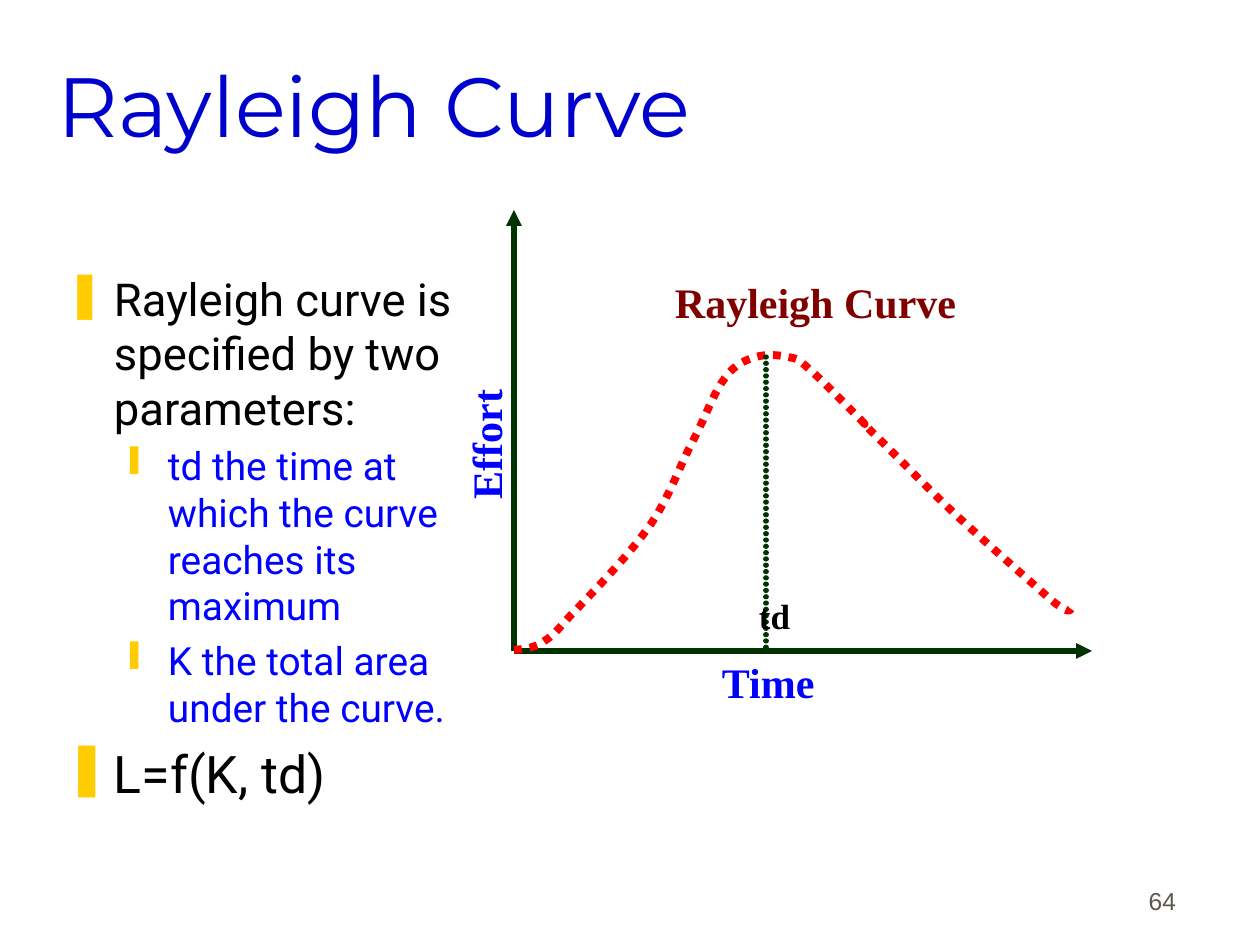
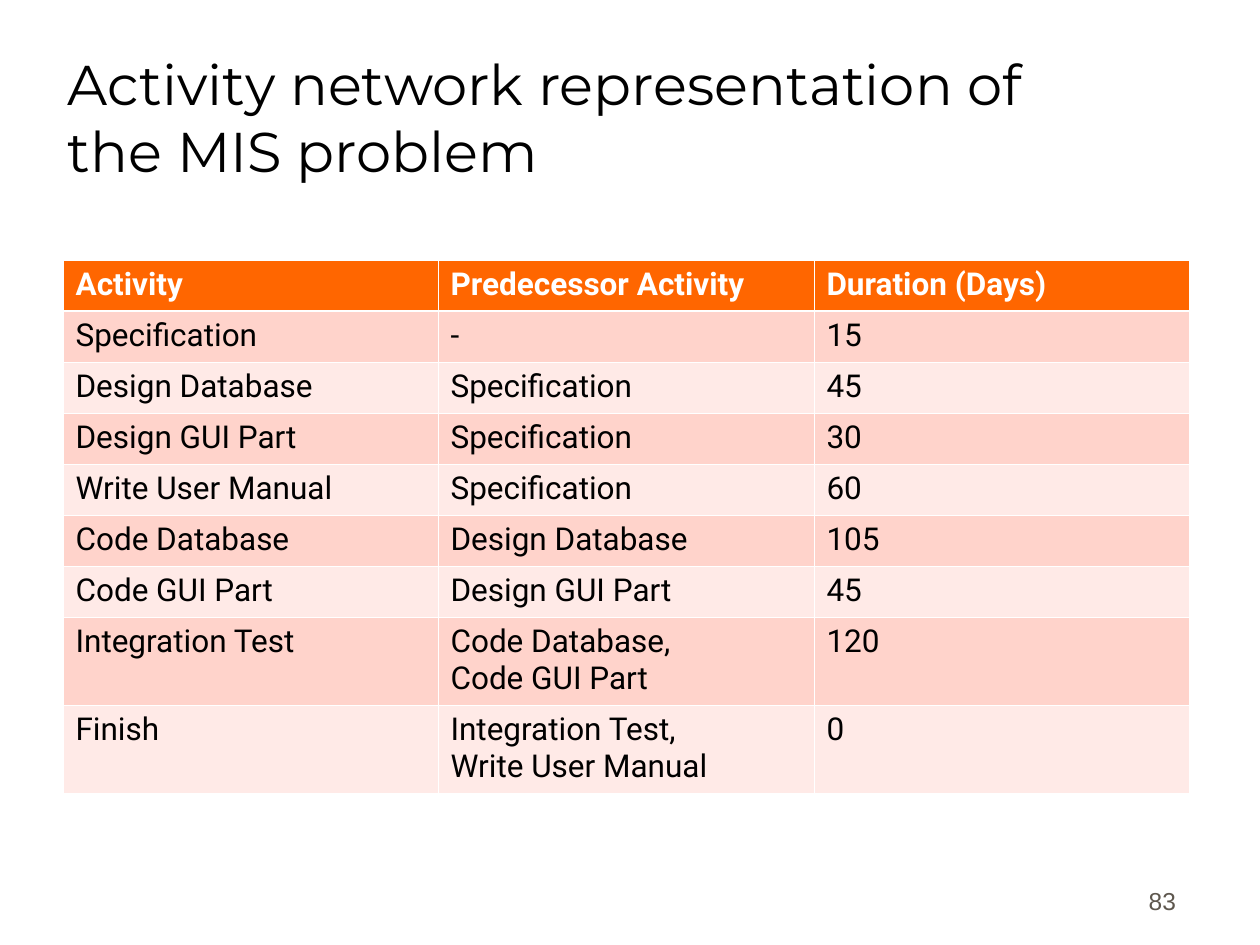
import lxml.etree
import pptx
import pptx.dml.color
import pptx.enum.dml
import pptx.enum.shapes
import pptx.enum.text
import pptx.oxml.ns
import pptx.util

PIXELS_PER_INCH = 126
SLIDE_SIZE = (1260, 945)
ANCHOR = pptx.enum.text.MSO_ANCHOR
ALIGN = pptx.enum.text.PP_ALIGN

THEME = {
    "white": "FFFFFF", "black": "000000", "title": "0000CC", "blue": "0000FF",
    "bullet": "FFCC00", "axis": "003300", "curve": "FF0000", "caption": "800000",
    "number": "5E574E", "header": "FF6600", "bands": ("FFD3CB", "FFEAE7"),
    "grid": 0.45, "header_rule": 1.47, "axis_width": 3, "curve_width": 4.5,
}
TITLE = {"name": "Montserrat", "size": 48, "color": THEME["title"]}
LONG_TITLE = {"name": "Montserrat", "size": 32, "color": THEME["black"]}
TOPIC = {"name": "Roboto", "size": 25.9, "color": THEME["black"]}
DETAIL = {"name": "Roboto", "size": 22.2, "color": THEME["blue"]}
FORMULA = {**TOPIC, "size": 29.6}
CELL = {"name": "Roboto", "size": 18, "color": THEME["black"], "bold": False}
HEADER_CELL = {**CELL, "color": THEME["white"], "bold": True}
AXIS_LABEL = {"name": "Times New Roman", "size": 24, "color": THEME["blue"], "bold": True}
CURVE_LABEL = {**AXIS_LABEL, "color": THEME["caption"]}
PEAK_LABEL = {**AXIS_LABEL, "size": 20, "color": THEME["black"]}
NUMBER = {"name": "Arial", "size": 14, "color": THEME["number"]}

TOPIC_BULLET = {"character": "❚", "margin": 48, "hanging": 48, "level": 0}
DETAIL_BULLET = {"character": "❙", "margin": 102, "hanging": 39, "level": 1}

BODY = [
    ("Rayleigh curve is specified by two parameters:", TOPIC, TOPIC_BULLET, 0),
    ("td the time at which the curve reaches its maximum", DETAIL, DETAIL_BULLET, 4.5),
    ("K the total area under the curve.", DETAIL, DETAIL_BULLET, 4.5),
    ("L=f(K, td)", FORMULA, TOPIC_BULLET, 7.1),
]

ORIGIN = (514, 651)
EFFORT_TIP = (514, 210)
TIME_TIP = (1092, 651)
PEAK_TOP, PEAK_FOOT = (766, 357), (766, 651)
CURVE_START = (514, 650)
# Each Bézier segment: two control points and an end point
CURVE_SEGMENTS = [
    ((525, 649), (536, 648), (546, 640)),
    ((557, 633), (559, 627), (577, 609)),
    ((595, 590), (631, 553), (651, 524)),
    ((670, 496), (680, 465), (693, 441)),
    ((706, 416), (714, 392), (725, 378)),
    ((735, 364), (746, 360), (756, 357)),
    ((766, 354), (779, 355), (788, 357)),
    ((796, 359), (796, 357), (808, 368)),
    ((820, 378), (851, 410), (861, 420)),
    ((871, 431), (856, 415), (871, 431)),
    ((887, 446), (925, 486), (955, 514)),
    ((985, 542), (1031, 582), (1050, 599)),
    ((1068, 614), (1070, 611), (1071, 609)),
]

ACTIVITIES = [
    ("Activity", "Predecessor Activity", "Duration (Days)"),
    ("Specification", "-", "15"),
    ("Design Database", "Specification", "45"),
    ("Design GUI Part", "Specification", "30"),
    ("Write User Manual", "Specification", "60"),
    ("Code Database", "Design Database", "105"),
    ("Code GUI Part", "Design GUI Part", "45"),
    ("Integration Test", "Code Database,\nCode GUI Part", "120"),
    ("Finish", "Integration Test,\nWrite User Manual", "0"),
]


def px(length):
    return round(length * 914400 / PIXELS_PER_INCH)


def rgb(color):
    return pptx.dml.color.RGBColor.from_string(color)


def add_element(parent, tag, **attributes):
    element = lxml.etree.SubElement(parent, pptx.oxml.ns.qn(tag))
    for name, value in attributes.items():
        element.set(name, str(value))
    return element


def sample_curve(start, segments, steps=8):
    """Return points along a chain of cubic Bézier segments."""
    points = []
    for first, second, end in segments:
        for step in range(1, steps + 1):
            t = step / steps
            u = 1 - t
            points.append(tuple(
                round(u**3 * a + 3 * u * u * t * b + 3 * u * t * t * c + t**3 * d, 2)
                for a, b, c, d in zip(start, first, second, end)))
        start = end
    return points


class Deck:
    """Holds the presentation and the slide being drawn."""

    def __init__(self):
        self.presentation = pptx.Presentation()
        self.presentation.slide_width, self.presentation.slide_height = map(px, SLIDE_SIZE)
        self.slide = None

    def start_slide(self, number):
        self.slide = self.presentation.slides.add_slide(self.presentation.slide_layouts[6])
        self.slide.background.fill.solid()
        self.slide.background.fill.fore_color.rgb = rgb(THEME["white"])
        self.text((927, 858, 262, 63), number, NUMBER, inset=13,
                  anchor=ANCHOR.BOTTOM, alignment=ALIGN.RIGHT)

    def styled_run(self, paragraph, text, style, **layout):
        run = paragraph.add_run()
        run.text = text
        for name, value in style.items():
            if name == "color":
                run.font.color.rgb = rgb(value)
            else:
                setattr(run.font, name, pptx.util.Pt(value) if name == "size" else value)
        for name, value in layout.items():
            setattr(paragraph, name, value)

    def frame(self, box, inset=3, anchor=ANCHOR.TOP, rotation=0):
        shape = self.slide.shapes.add_textbox(*map(px, box))
        shape.rotation = rotation
        settings = {"word_wrap": True, "vertical_anchor": anchor,
                    "margin_left": px(inset), "margin_right": px(inset),
                    "margin_top": px(6), "margin_bottom": px(6)}
        for name, value in settings.items():
            setattr(shape.text_frame, name, value)
        return shape.text_frame

    def text(self, box, text, style, inset=3, anchor=ANCHOR.TOP, rotation=0, **layout):
        frame = self.frame(box, inset, anchor, rotation)
        self.styled_run(frame.paragraphs[0], text, style, **layout)

    def title(self, top, text, style, **placing):
        self.text((55, top, 1071, 158), text, style, **placing)

    def label(self, box, text, style, rotation=0):
        self.text(box, text, style, rotation=rotation, line_spacing=0.72)

    def bullets(self, box, items):
        frame = self.frame(box)
        for index, (text, style, bullet, space) in enumerate(items):
            paragraph = frame.add_paragraph() if index else frame.paragraphs[0]
            self.styled_run(paragraph, text, style, level=bullet["level"],
                            space_before=pptx.util.Pt(space))
            properties = paragraph._p.get_or_add_pPr()
            properties.set("marL", str(px(bullet["margin"])))
            properties.set("indent", str(-px(bullet["hanging"])))
            add_element(add_element(properties, "a:buClr"), "a:srgbClr", val=THEME["bullet"])
            add_element(properties, "a:buChar", char=bullet["character"])

    def line(self, start, end, arrow=False, dotted=False):
        connector = self.slide.shapes.add_connector(
            pptx.enum.shapes.MSO_CONNECTOR.STRAIGHT, *map(px, start + end))
        connector.line.color.rgb = rgb(THEME["axis"])
        connector.line.width = pptx.util.Pt(THEME["axis_width"])
        outline = connector.line._get_or_add_ln()
        if dotted:
            outline.set("cap", "rnd")
            add_element(add_element(outline, "a:custDash"), "a:ds", d=100000, sp=20000)
        if arrow:
            add_element(outline, "a:tailEnd", type="triangle")
        add_element(connector._element.spPr, "a:effectLst")

    def dotted_curve(self, start, segments):
        builder = self.slide.shapes.build_freeform(*map(px, start))
        points = [(px(x), px(y)) for x, y in sample_curve(start, segments)]
        builder.add_line_segments(points, close=False)
        shape = builder.convert_to_shape()
        shape.shadow.inherit = False
        shape.fill.background()
        shape.line.color.rgb = rgb(THEME["curve"])
        shape.line.width = pptx.util.Pt(THEME["curve_width"])
        shape.line.dash_style = pptx.enum.dml.MSO_LINE.ROUND_DOT

    def cell(self, cell, text, style, fill, rules):
        """Fill one table cell; rules maps a border side to its width in points."""
        properties = cell._tc.get_or_add_tcPr()
        for side, width in rules.items():
            border = add_element(properties, f"a:ln{side}", w=pptx.util.Pt(width))
            add_element(add_element(border, "a:solidFill"), "a:srgbClr", val=THEME["white"])
        cell.fill.solid()
        cell.fill.fore_color.rgb = rgb(fill)
        for name in ("margin_left", "margin_right"):
            setattr(cell, name, pptx.util.Inches(0.1))
        for index, part in enumerate(text.split("\n")):
            frame = cell.text_frame
            paragraph = frame.add_paragraph() if index else frame.paragraphs[0]
            self.styled_run(paragraph, part, style)

    def table(self, left, top, column_widths, rows):
        heights = [88 if any("\n" in text for text in row) else 51 for row in rows]
        box = (left, top, sum(column_widths), sum(heights))
        table = self.slide.shapes.add_table(
            len(rows), len(column_widths), *map(px, box)).table
        for column, width in zip(table.columns, column_widths):
            column.width = px(width)
        for index, (row, height) in enumerate(zip(rows, heights)):
            table.rows[index].height = px(height)
            fill = THEME["bands"][(index - 1) % 2] if index else THEME["header"]
            rules = dict.fromkeys("LRTB", THEME["grid"])
            if index < 2:
                rules["T" if index else "B"] = THEME["header_rule"]
            for column, text in enumerate(row):
                self.cell(table.cell(index, column), text,
                          CELL if index else HEADER_CELL, fill, rules)


def draw_rayleigh_curve(deck):
    deck.start_slide("64")
    deck.title(25, "Rayleigh Curve", TITLE, anchor=ANCHOR.MIDDLE)
    deck.bullets((63, 265, 420, 575), BODY)
    deck.line(ORIGIN, EFFORT_TIP, arrow=True)
    deck.line(ORIGIN, TIME_TIP, arrow=True)
    deck.dotted_curve(CURVE_START, CURVE_SEGMENTS)
    deck.label((431, 403, 135, 63), "Effort", AXIS_LABEL, rotation=270)
    deck.label((719, 664, 252, 63), "Time", AXIS_LABEL)
    deck.line(PEAK_TOP, PEAK_FOOT, dotted=True)
    deck.label((756, 599, 73, 54), "td", PEAK_LABEL)
    deck.label((672, 284, 441, 63), "Rayleigh Curve", CURVE_LABEL)


def draw_activity_table(deck):
    deck.start_slide("83")
    deck.title(32, "Activity network representation of the MIS problem", LONG_TITLE,
               inset=13, anchor=ANCHOR.BOTTOM)
    deck.table(63, 260, (375, 376, 375), ACTIVITIES)


def main():
    deck = Deck()
    draw_rayleigh_curve(deck)
    draw_activity_table(deck)
    deck.presentation.save("out.pptx")


if __name__ == "__main__":
    main()
